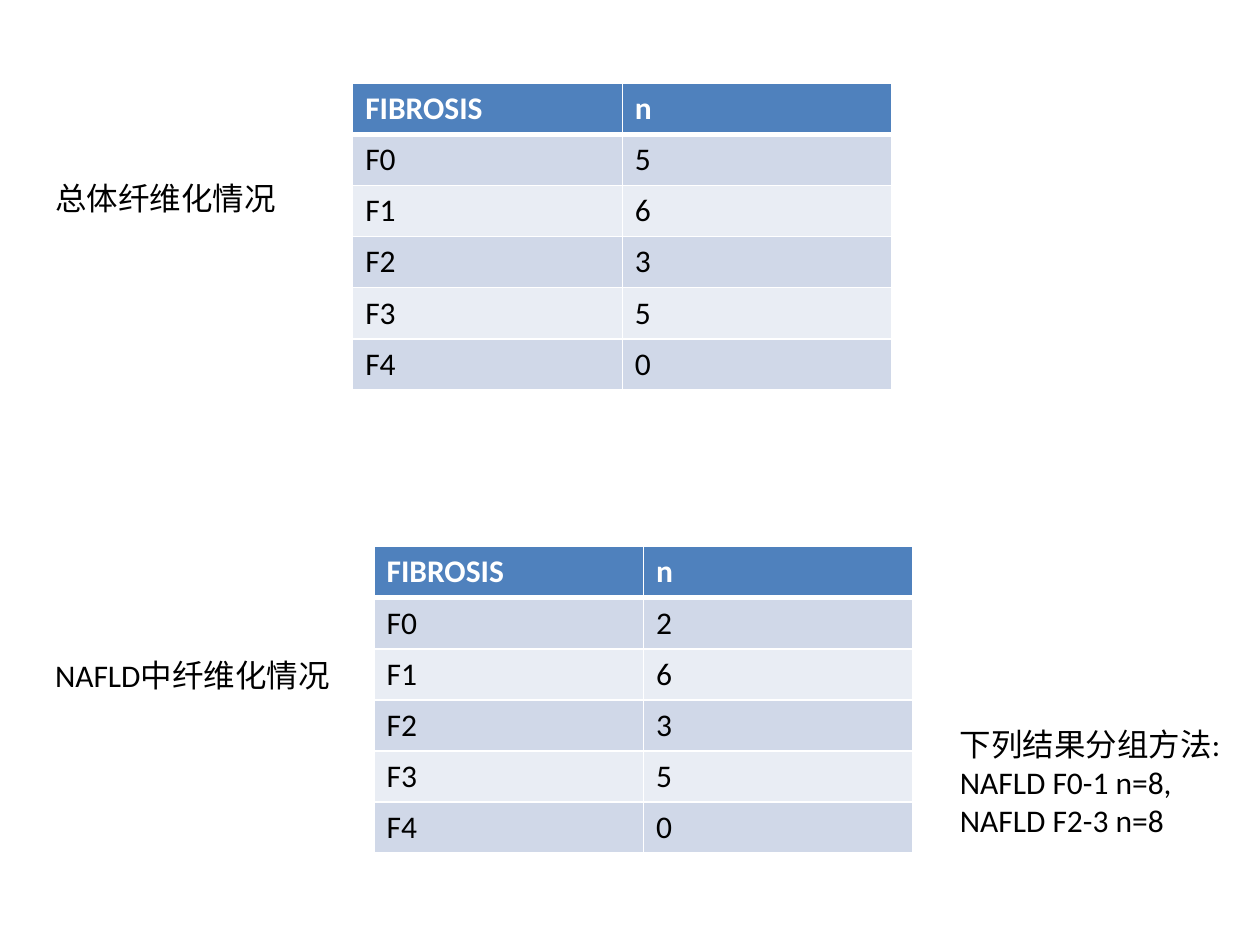
from pptx import Presentation
from pptx.dml.color import RGBColor
from pptx.enum.text import MSO_AUTO_SIZE
from pptx.oxml.ns import qn
from pptx.util import Cm, Pt
from lxml.etree import SubElement


def rgb(value):
    return RGBColor.from_string(value)


class Deck:
    """Holds the text style, the table colours and the current slide."""

    font = {"name": "Calibri", "size": Pt(18), "bold": False}
    ink, white = "000000", "FFFFFF"
    header, bands = "4F81BD", ("D0D8E8", "E9EDF4")

    def __init__(self, prs):
        self.s = prs.slides.add_slide(prs.slide_layouts[6])

    def run(self, p, text, color, **changes):
        r = p.add_run()
        r.text = text
        for name, value in {**self.font, **changes}.items():
            setattr(r.font, name, value)
        r.font.color.rgb = rgb(color)

    def text(self, x, y, w, h, lines, wrap=True):
        tf = self.s.shapes.add_textbox(Cm(x), Cm(y), Cm(w), Cm(h)).text_frame
        for name, value in {"word_wrap": wrap,
                            "auto_size": MSO_AUTO_SIZE.SHAPE_TO_FIT_TEXT}.items():
            setattr(tf, name, value)
        for i, line in enumerate(lines):
            p = tf.add_paragraph() if i else tf.paragraphs[0]
            self.run(p, line, self.ink)

    def borders(self, cell, widths):
        tcPr = cell._tc.get_or_add_tcPr()
        for side, width in widths.items():
            ln = SubElement(tcPr, qn(f"a:ln{side}"), w=str(int(Pt(width))))
            fill = SubElement(ln, qn("a:solidFill"))
            SubElement(fill, qn("a:srgbClr"), val=self.white)

    def table(self, x, y, w, h, rows):
        shape = self.s.shapes.add_table(len(rows), len(rows[0]),
                                        Cm(x), Cm(y), Cm(w), Cm(h))
        for i, row in enumerate(rows):
            head = i == 0
            for j, value in enumerate(row):
                cell = shape.table.cell(i, j)
                self.borders(cell, {"L": 1, "R": 1, "T": 3 if i == 1 else 1,
                                    "B": 3 if head else 1})
                cell.fill.solid()
                cell.fill.fore_color.rgb = rgb(
                    self.header if head else self.bands[(i - 1) % 2])
                self.run(cell.text_frame.paragraphs[0], str(value),
                         self.white if head else self.ink, bold=head)


def fibrosis(counts):
    return [("FIBROSIS", "n")] + [(f"F{i}", n) for i, n in enumerate(counts)]


prs = Presentation()
prs.slide_width, prs.slide_height = Cm(25.4), Cm(19.05)
deck = Deck(prs)

deck.table(7.11, 1.68, 10.87, 6.18, fibrosis([5, 6, 3, 5, 0]))
deck.text(0.86, 3.48, 6.27, 1.03, ["总体纤维化情况"])
deck.text(0.86, 13.11, 6.27, 1.03, ["NAFLD中纤维化情况"])
deck.table(7.54, 11.02, 10.87, 6.18, fibrosis([2, 6, 3, 5, 0]))
deck.text(19.1, 14.5, 5.87, 2.57,
          ["下列结果分组方法:", "NAFLD F0-1 n=8,", "NAFLD F2-3 n=8"], wrap=False)

prs.save("out.pptx")
